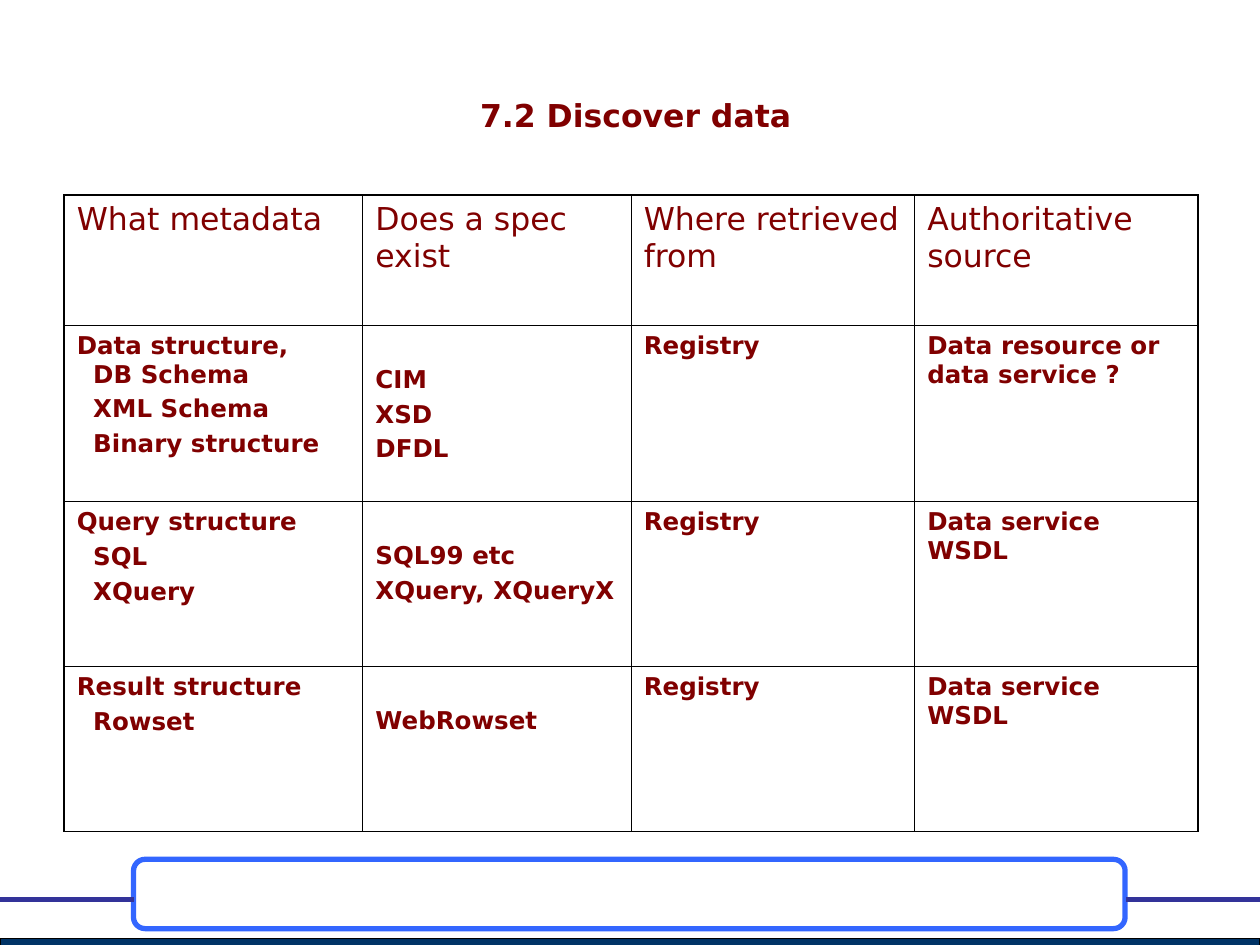
from dataclasses import dataclass, field

from lxml import etree
from pptx import Presentation
from pptx.dml.color import RGBColor as Color
from pptx.enum.shapes import MSO_CONNECTOR as Connector, MSO_SHAPE as Shape
from pptx.enum.text import MSO_ANCHOR as Anchor, MSO_AUTO_SIZE as AutoSize, PP_ALIGN as Align
from pptx.oxml.ns import qn
from pptx.util import Inches, Pt

COLORS = {
    "text": "800000",
    "grid": "000000",
    "strip": "003366",
    "frame": "3366FF",
    "rule": "333399",
}
COLUMNS = [2.37, 2.13, 2.25, 2.25]
ROWS = [1.03, 1.4, 1.31, 1.31]
HEADINGS = ["What metadata", "Does a spec exist", "Where retrieved from", "Authoritative source"]
TOPICS = [
    ("Data structure,", ["DB Schema", "XML Schema", "Binary structure"],
     ["CIM", "XSD", "DFDL"], "Data resource or data service ?"),
    ("Query structure", ["SQL", "XQuery"],
     ["SQL99 etc", "XQuery, XQueryX"], "Data service WSDL"),
    ("Result structure", ["Rowset"], ["WebRowset"], "Data service WSDL"),
]


def write(para, text, size=14, bold=True, color="text", font="DejaVu Sans",
          align=Align.LEFT, before=0, indent=0):
    para.alignment = align
    para.space_before = Pt(before)
    properties = para._p.get_or_add_pPr()
    properties.set("marL", str(Inches(indent)))
    properties.set("indent", "0")
    span = para.add_run()
    span.text = text
    span.font.size = Pt(size)
    span.font.bold = bold
    span.font.name = font
    span.font.color.rgb = Color.from_string(COLORS[color])


@dataclass
class SlideBuilder:
    page: object
    colors: dict = field(default_factory=lambda: COLORS)

    def color(self, name):
        return Color.from_string(self.colors[name])

    def title(self, text, left, top, width, height):
        box = self.page.shapes.title
        box.left, box.top, box.width, box.height = map(Inches, (left, top, width, height))
        frame = box.text_frame
        frame.word_wrap = True
        frame.auto_size = AutoSize.NONE
        frame.vertical_anchor = Anchor.MIDDLE
        write(frame.paragraphs[0], text, size=18, align=Align.CENTER)

    def shape(self, kind, left, top, width, height, line, weight, fill=None):
        box = self.page.shapes.add_shape(kind, *map(Inches, (left, top, width, height)))
        box.shadow.inherit = False
        if fill:
            box.fill.solid()
            box.fill.fore_color.rgb = self.color(fill)
        else:
            box.fill.background()
        box.line.color.rgb = self.color(line)
        box.line.width = Pt(weight)

    def rule(self, start, end, height, weight=3):
        line = self.page.shapes.add_connector(
            Connector.STRAIGHT, *map(Inches, (start, height, end, height)))
        line.line.color.rgb = self.color("rule")
        line.line.width = Pt(weight)
        etree.SubElement(line._element.spPr, qn("a:effectLst"))

    def table(self, left, top, columns, rows):
        box = self.page.shapes.add_table(
            len(rows), len(columns),
            *map(Inches, (left, top, sum(columns), sum(rows))))
        table = box.table
        table.first_row = table.horz_banding = False
        for column, width in zip(table.columns, columns):
            column.width = Inches(width)
        for row, height in zip(table.rows, rows):
            row.height = Inches(height)
        last_row, last_column = len(rows) - 1, len(columns) - 1
        for r, row in enumerate(table.rows):
            for c, cell in enumerate(row.cells):
                outer = {"L": c == 0, "R": c == last_column, "T": r == 0, "B": r == last_row}
                self.borders(cell, outer)
                cell.fill.background()
        return table

    def borders(self, cell, outer):
        properties = cell._tc.get_or_add_tcPr()
        for side, is_outer in outer.items():
            weight = Pt(1.08 if is_outer else 0.45)
            line = etree.SubElement(properties, qn(f"a:ln{side}"), w=str(int(weight)))
            fill = etree.SubElement(line, qn("a:solidFill"))
            etree.SubElement(fill, qn("a:srgbClr"), val=self.colors["grid"])

    def cell(self, cell, lines, top=0.05, **style):
        cell.margin_top = Inches(top)
        frame = cell.text_frame
        for index, (text, extra) in enumerate(lines):
            para = frame.add_paragraph() if index else frame.paragraphs[0]
            write(para, text, **{**style, **extra})


def main():
    deck = Presentation()
    deck.slide_width, deck.slide_height = Inches(10), Inches(7.5)
    builder = SlideBuilder(deck.slides.add_slide(deck.slide_layouts[5]))

    builder.shape(Shape.RECTANGLE, 0, 7.45, 10, 0.08, "grid", 0.75, fill="strip")
    builder.shape(Shape.ROUNDED_RECTANGLE, 1.06, 6.82, 7.87, 0.55, "frame", 3)
    builder.rule(1.06, 0, 7.14)
    builder.rule(8.94, 10, 7.14)
    builder.title("7.2 Discover data", 0.2, 0.29, 9.69, 1.25)

    table = builder.table(0.51, 1.55, COLUMNS, ROWS)
    for column, heading in enumerate(HEADINGS):
        builder.cell(table.cell(0, column), [(heading, {})], size=18, bold=False)

    spaced = {"before": 3.5}
    for row, (topic, parts, standards, source) in enumerate(TOPICS, start=1):
        gap = 0 if topic.endswith(",") else 3.5
        metadata = [(topic, {})] + [
            (part, {"indent": 0.13, "before": 3.5 if index else gap})
            for index, part in enumerate(parts)]
        formats = [(name, spaced if index else {}) for index, name in enumerate(standards)]
        builder.cell(table.cell(row, 0), metadata)
        builder.cell(table.cell(row, 1), formats, top=0.32)
        builder.cell(table.cell(row, 2), [("Registry", {})])
        builder.cell(table.cell(row, 3), [(source, {})])

    deck.save("out.pptx")


if __name__ == "__main__":
    main()
